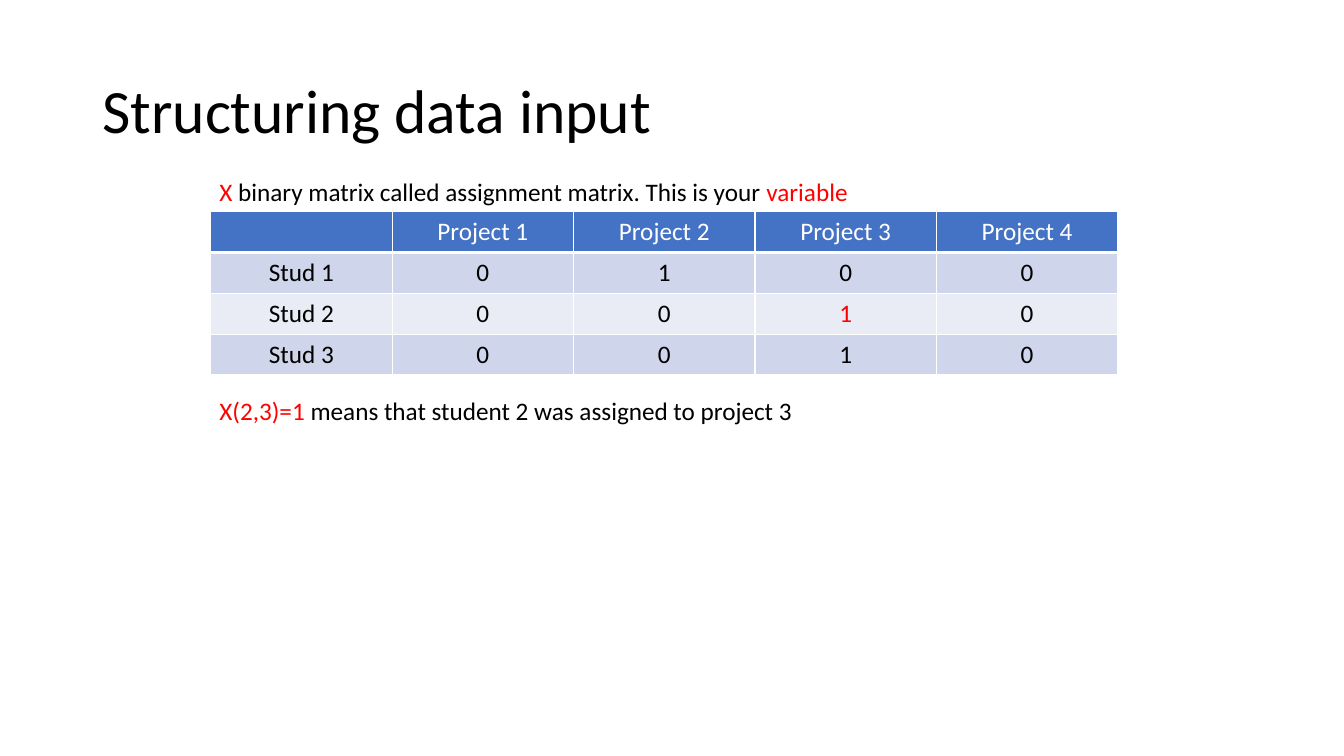
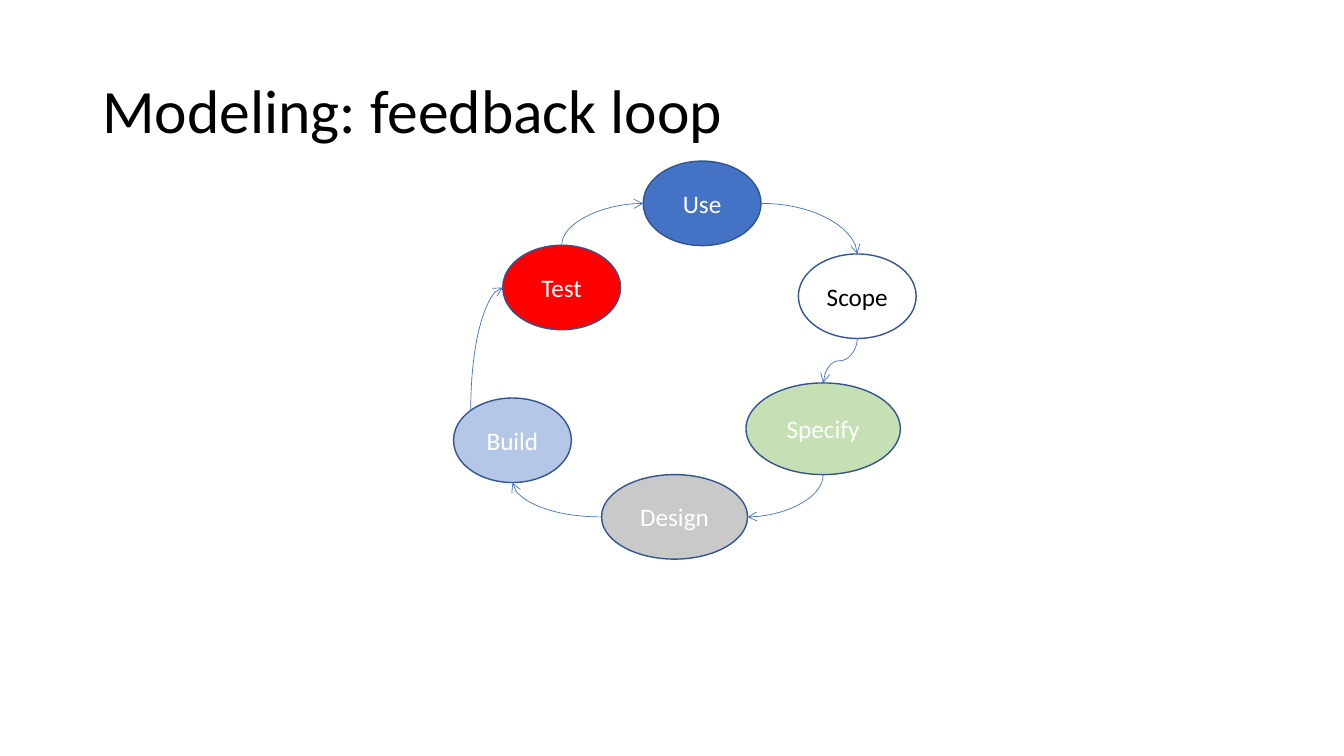
"""Build two slides: an assignment matrix and a modeling feedback loop."""
from dataclasses import dataclass

from lxml.etree import SubElement
from pptx import Presentation
from pptx.dml.color import RGBColor
from pptx.enum.shapes import MSO_CONNECTOR, MSO_SHAPE
from pptx.enum.text import MSO_ANCHOR, MSO_AUTO_SIZE, PP_ALIGN
from pptx.oxml.ns import qn
from pptx.util import Cm, Pt


@dataclass(frozen=True)
class Theme:
    font: str = "Calibri"
    title_size: int = 44
    body_size: int = 18
    black: str = "000000"
    white: str = "FFFFFF"
    red: str = "FF0000"
    blue: str = "4472C4"
    outline: str = "325491"
    band_dark: str = "CFD5EA"
    band_light: str = "E9EBF5"
    green: str = "C5E0B4"
    gray: str = "C9C9C9"
    pale_blue: str = "B4C7E7"


T = Theme()

MATRIX_TITLE = "Structuring data input"
MATRIX = [
    ["", "Project 1", "Project 2", "Project 3", "Project 4"],
    ["Stud 1", "0", "1", "0", "0"],
    ["Stud 2", "0", "0", "1", "0"],
    ["Stud 3", "0", "0", "1", "0"],
]
HIGHLIGHT = (2, 3)
MATRIX_BOX = (5.31, 5.33, 22.86, 4.12)
CAPTIONS = [
    ((5.28, 4.32, 16.51, 1.02), [
        ("X", T.red),
        (" binary matrix called assignment matrix. This is your ", T.black),
        ("variable", T.red)]),
    ((5.28, 9.83, 15.11, 1.02), [
        ("X(2,3)=1", T.red),
        (" means that student 2 was assigned to project 3", T.black)]),
]

LOOP_TITLE = "Modeling: feedback loop"
STAGES = {
    "Use": ((16.21, 4.06, 2.97, 2.13), T.blue, T.white),
    "Scope": ((20.12, 6.4, 2.97, 2.13), T.white, T.black),
    "Specify": ((18.8, 9.65, 3.89, 2.31), T.green, T.white),
    "Design": ((15.16, 11.96, 3.68, 2.13), T.gray, T.white),
    "Build": ((11.43, 10.03, 2.97, 2.13), T.pale_blue, T.white),
    "Test": ((12.67, 6.18, 2.97, 2.13), T.red, T.white),
}
SITES = {"top": (0.5, 0), "left": (0, 0.5), "bottom": (0.5, 1),
         "right": (1, 0.5), "top left": (0.146, 0.146)}
ARROWS = [
    ("Use", "right", "Scope", "top"),
    ("Scope", "bottom", "Specify", "top"),
    ("Specify", "bottom", "Design", "right"),
    ("Design", "left", "Build", "bottom"),
    ("Build", "top left", "Test", "left"),
    ("Test", "top", "Use", "left"),
]


def rgb(color):
    return RGBColor.from_string(color)


def box(lengths):
    return [Cm(n) for n in lengths]


def write(tf, runs, color=T.black, size=T.body_size, align=PP_ALIGN.LEFT,
          anchor=MSO_ANCHOR.TOP, spacing=None):
    if isinstance(runs, str):
        runs = [(runs, color)]
    tf.vertical_anchor = anchor
    p = tf.paragraphs[0]
    p.alignment = align
    p.line_spacing = spacing
    for text, run_color in runs:
        r = p.add_run()
        r.text = text
        r.font.name = T.font
        r.font.size = Pt(size)
        r.font.bold = False
        r.font.color.rgb = rgb(run_color)


def add_slide(prs, title):
    s = prs.slides.add_slide(prs.slide_layouts[6])
    tf = s.shapes.add_textbox(*box((2.33, 1.02, 29.21, 3.68))).text_frame
    tf.word_wrap = True
    write(tf, title, size=T.title_size, anchor=MSO_ANCHOR.MIDDLE, spacing=0.9)
    return s


def add_caption(s, place, runs):
    tf = s.shapes.add_textbox(*box(place)).text_frame
    tf.word_wrap = False
    tf.auto_size = MSO_AUTO_SIZE.SHAPE_TO_FIT_TEXT
    write(tf, runs)


def style_cell(cell, fill, bottom):
    tc_pr = cell._tc.get_or_add_tcPr()
    for tag, width in (("lnL", 1), ("lnR", 1), ("lnT", 1), ("lnB", bottom)):
        ln = SubElement(tc_pr, qn(f"a:{tag}"), w=str(Pt(width)))
        solid = SubElement(ln, qn("a:solidFill"))
        SubElement(solid, qn("a:srgbClr"), val=T.white)
    cell.fill.solid()
    cell.fill.fore_color.rgb = rgb(fill)


def add_matrix(s):
    table = s.shapes.add_table(len(MATRIX), len(MATRIX[0]), *box(MATRIX_BOX)).table
    table.first_row = table.horz_banding = False
    for i, row in enumerate(MATRIX):
        header = i == 0
        band = T.band_dark if i % 2 else T.band_light
        for j, text in enumerate(row):
            cell = table.cell(i, j)
            style_cell(cell, T.blue if header else band, 3 if header else 1)
            color = T.white if header else T.red if (i, j) == HIGHLIGHT else T.black
            if text:
                write(cell.text_frame, text, color=color, align=PP_ALIGN.CENTER)


def add_stage(s, name, place, fill, color):
    sp = s.shapes.add_shape(MSO_SHAPE.OVAL, *box(place))
    sp.shadow.inherit = False
    sp.fill.solid()
    sp.fill.fore_color.rgb = rgb(fill)
    sp.line.color.rgb = rgb(T.outline)
    sp.line.width = Pt(1)
    write(sp.text_frame, name, color=color, align=PP_ALIGN.CENTER,
          anchor=MSO_ANCHOR.MIDDLE)
    return sp


def site_point(sp, site):
    fx, fy = SITES[site]
    return sp.left + sp.width * fx, sp.top + sp.height * fy


def add_arrow(s, start, start_site, end, end_site):
    (x1, y1), (x2, y2) = site_point(start, start_site), site_point(end, end_site)
    dx, dy = x2 - x1, y2 - y1
    if start_site in ("left", "right"):
        w, h, turn, flip_h, flip_v = abs(dx), abs(dy), 0, dx < 0, dy < 0
        if flip_h and flip_v:
            turn, flip_h, flip_v = 180, False, False
    else:
        w, h, turn, flip_h, flip_v = abs(dy), abs(dx), 90, dy < 0, dx > 0
    left, top = (x1 + x2 - w) / 2, (y1 + y2 - h) / 2
    line = s.shapes.add_connector(
        MSO_CONNECTOR.CURVE, *(int(n) for n in (left, top, left + w, top + h)))
    line.line.color.rgb = rgb(T.blue)
    line.line.width = Pt(0.5)
    sp_pr = line._element.spPr
    xfrm = sp_pr.find(qn("a:xfrm"))
    for key, value in (("rot", turn * 60000), ("flipH", flip_h), ("flipV", flip_v)):
        xfrm.set(key, str(int(value)))
    bends = 3 if {start_site, end_site} == {"top", "bottom"} else 2
    sp_pr.find(qn("a:prstGeom")).set("prst", f"curvedConnector{bends}")
    SubElement(sp_pr.find(qn("a:ln")), qn("a:tailEnd"), type="arrow")
    SubElement(sp_pr, qn("a:effectLst"))


def main():
    prs = Presentation()
    prs.slide_width, prs.slide_height = Cm(33.87), Cm(19.05)

    s = add_slide(prs, MATRIX_TITLE)
    add_matrix(s)
    for place, runs in CAPTIONS:
        add_caption(s, place, runs)

    s = add_slide(prs, LOOP_TITLE)
    stages = {name: add_stage(s, name, *look) for name, look in STAGES.items()}
    for start, start_site, end, end_site in ARROWS:
        add_arrow(s, stages[start], start_site, stages[end], end_site)

    prs.save("out.pptx")


if __name__ == "__main__":
    main()
